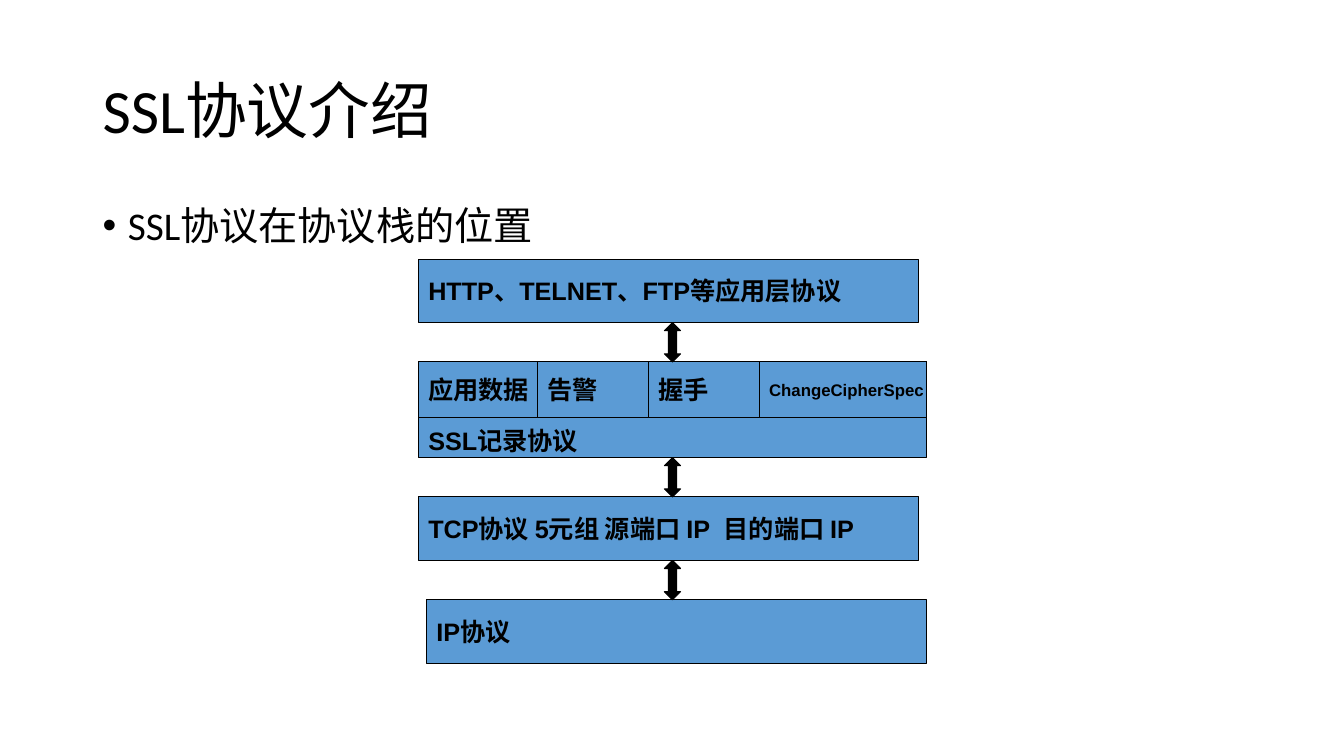
"""Build the slide that places SSL in the protocol stack."""
from itertools import accumulate
from lxml import etree
from pptx import Presentation, util as u
from pptx.dml.color import RGBColor
from pptx.enum import shapes, text
from pptx.oxml.ns import qn

TITLE = "SSL协议介绍"
TOPIC = "SSL协议在协议栈的位置"
LAYERS = [
    ("HTTP、TELNET、FTP等应用层协议", 4.15, 4.96, 0.63),
    ("SSL记录协议", 4.15, 5.04, 0.95),
    ("TCP协议 5元组 源端口 IP  目的端口 IP", 4.15, 4.96, 0.63),
    ("IP协议", 4.23, 4.96, 0.63),
]
SSL_PARTS = [("应用数据", 1.18, 18), ("告警", 1.1, 18),
             ("握手", 1.1, 18), ("ChangeCipherSpec", 1.66, 12)]
SSL_LAYER = 1
PART_HEIGHT = 0.55
FIRST_TOP, GAP = 2.57, 0.39
ARROW_LEFT, ARROW_WIDTH = 6.59, 0.16
BLUE, BLACK = "5B9BD5", "000000"

deck = Presentation()
deck.slide_width, deck.slide_height = u.Inches(13.33), u.Inches(7.5)
slide = deck.slides.add_slide(deck.slide_layouts[6])


def color(hex_code):
    return RGBColor.from_string(hex_code)


def write(frame, words, size, font, anchor, bold=False):
    frame.vertical_anchor = anchor
    paragraph = frame.paragraphs[0]
    paragraph.alignment = text.PP_ALIGN.LEFT
    run = paragraph.add_run()
    run.text = words
    run.font.size, run.font.name, run.font.bold = u.Pt(size), font, bold
    run.font.color.rgb = color(BLACK)
    return paragraph


def heading(words, top, height, size, anchor):
    box = slide.shapes.add_textbox(*map(u.Inches, (0.92, top, 11.5, height)))
    box.text_frame.word_wrap = True
    paragraph = write(box.text_frame, words, size, "Calibri", anchor)
    paragraph.line_spacing = 0.9
    return paragraph


def block(kind, place, fill):
    shape = slide.shapes.add_shape(kind, *map(u.Inches, place))
    shape.shadow.inherit = False
    shape.fill.solid()
    shape.fill.fore_color.rgb = color(fill)
    shape.line.color.rgb = color(BLACK)
    shape.line.width = u.Pt(0.75)
    return shape


def protocol(words, place, size=18, anchor=text.MSO_ANCHOR.MIDDLE):
    frame = block(shapes.MSO_SHAPE.RECTANGLE, place, BLUE).text_frame
    frame.word_wrap = False
    write(frame, words, size, "Arial", anchor, True)
    return frame


heading(TITLE, 0.4, 1.45, 44, text.MSO_ANCHOR.MIDDLE)
topic = heading(TOPIC, 2, 4.76, 28, text.MSO_ANCHOR.TOP)
topic.space_before = u.Pt(10)
indent = topic._p.get_or_add_pPr()
indent.set("marL", str(u.Inches(0.25)))
indent.set("indent", str(u.Inches(-0.25)))
etree.SubElement(indent, qn("a:buFont")).set("typeface", "Arial")
etree.SubElement(indent, qn("a:buChar")).set("char", "•")

tops = list(accumulate((height + GAP for *_, height in LAYERS), initial=FIRST_TOP))
for index, ((words, left, width, height), top) in enumerate(zip(LAYERS, tops)):
    if index == SSL_LAYER:
        record = protocol(words, (left, top, width, height), anchor=text.MSO_ANCHOR.BOTTOM)
        record.margin_bottom = u.Inches(0.02)
        part_left = left
        for part, part_width, size in SSL_PARTS:
            protocol(part, (part_left, top, part_width, PART_HEIGHT), size)
            part_left += part_width
    else:
        protocol(words, (left, top, width, height))
    if index:
        block(shapes.MSO_SHAPE.UP_DOWN_ARROW,
              (ARROW_LEFT, top - GAP, ARROW_WIDTH, GAP), BLACK)

deck.save("out.pptx")
